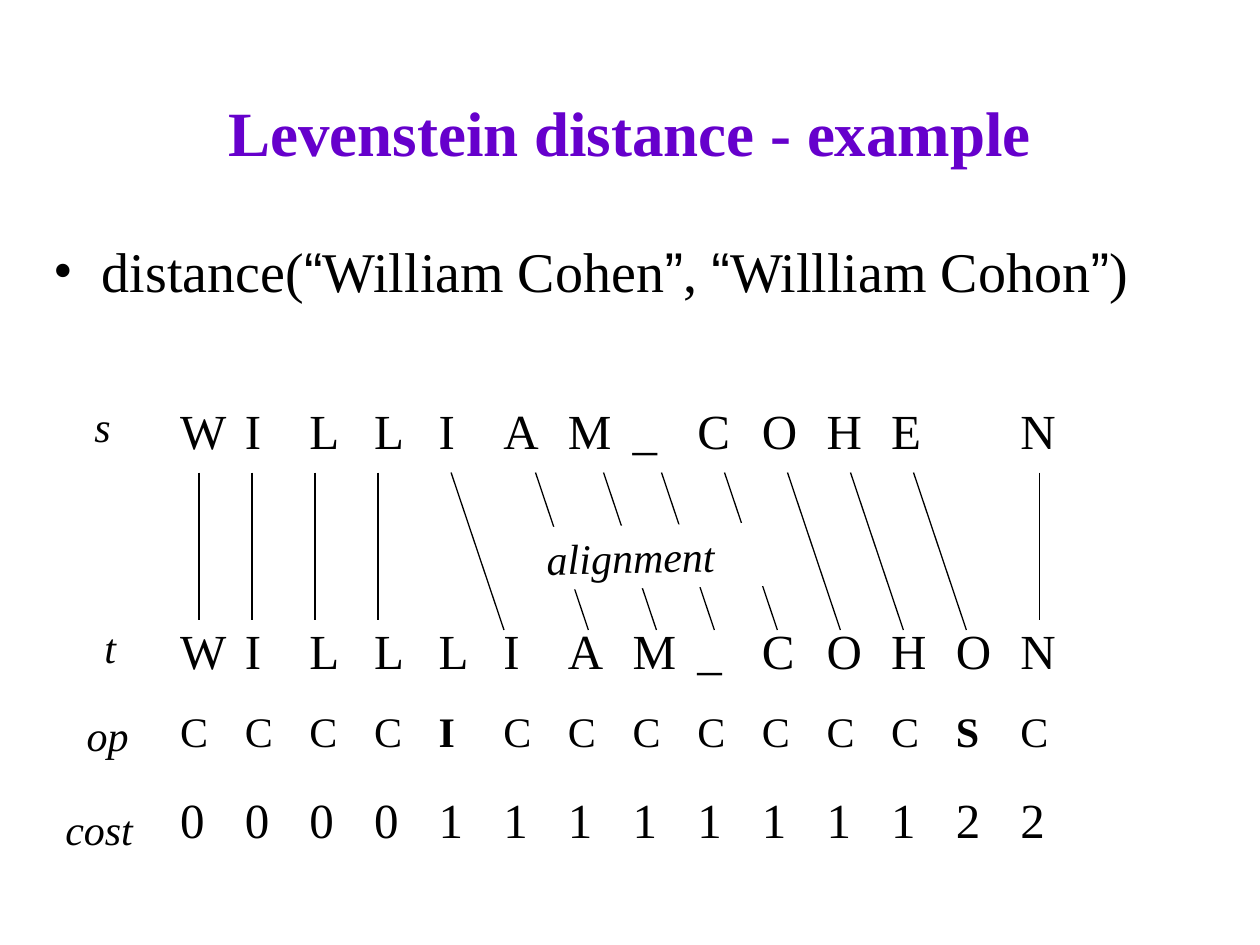
import pptx
import pptx.dml.color
import pptx.enum.shapes
import pptx.enum.text
import pptx.oxml
import pptx.oxml.ns
import pptx.util

Inches = pptx.util.Inches
Pt = pptx.util.Pt
Align = pptx.enum.text.PP_ALIGN
Anchor = pptx.enum.text.MSO_ANCHOR
Fit = pptx.enum.text.MSO_AUTO_SIZE


def color(code):
    return pptx.dml.color.RGBColor.from_string(code)


def child(parent, tag, **attrs):
    node = pptx.oxml.parse_xml(f"<a:{tag} {pptx.oxml.ns.nsdecls('a')}/>")
    for key, value in attrs.items():
        node.set(key, value)
    parent.append(node)


class Deck:
    serif = "Times New Roman"
    sans = "Arial"
    ink = "000000"
    paper = "FFFFFF"
    accent = "6600CC"

    def __init__(self):
        self.file = pptx.Presentation()
        self.file.slide_width = Inches(10)
        self.file.slide_height = Inches(7.5)
        self.slide = self.file.slides.add_slide(self.file.slide_layouts[6])

    def style(self, para, size, code=None, bold=False, italic=False):
        font = para.font
        font.name = self.serif
        font.size = Pt(size)
        font.bold = bold
        font.italic = italic
        font.color.rgb = color(code or self.ink)

    def box(self, left, top, width, height, wrap=True):
        shape = self.slide.shapes.add_textbox(
            Inches(left), Inches(top), Inches(width), Inches(height))
        shape.text_frame.word_wrap = wrap
        return shape.text_frame

    def title(self, text, *place):
        frame = self.box(*place)
        frame.vertical_anchor = Anchor.MIDDLE
        para = frame.paragraphs[0]
        para.text = text
        para.alignment = Align.CENTER
        self.style(para, 36, self.accent, bold=True)

    def bullet(self, text, *place):
        para = self.box(*place).paragraphs[0]
        props = para._p.get_or_add_pPr()
        props.set("marL", str(Inches(0.38)))
        props.set("indent", str(-Inches(0.38)))
        child(props, "buFont", typeface=self.serif)
        child(props, "buChar", char="•")
        self.style(para, 32)
        for part in text.replace("“", "|“|").replace("”", "|”|").split("|"):
            run = para.add_run()
            run.text = part
            if part in "“”":
                run.font.name = self.sans

    def label(self, text, left, top, width, align=Align.LEFT):
        frame = self.box(left, top, width, 0.5, wrap=False)
        frame.auto_size = Fit.NONE
        para = frame.paragraphs[0]
        para.text = text
        para.alignment = align
        self.style(para, 24, italic=True)

    def grid(self, rows, left, top, pitch, last):
        count = len(rows[0][0])
        width = pitch * (count - 1) + last
        height = sum(row[1] for row in rows)
        table = self.slide.shapes.add_table(
            len(rows), count, Inches(left), Inches(top),
            Inches(width), Inches(height)).table
        table.first_row = False
        table.horz_banding = False
        for col in table.columns:
            col.width = Inches(pitch)
        table.columns[count - 1].width = Inches(last)
        for line, (text, tall, size, strong) in zip(table.rows, rows):
            line.height = Inches(tall)
            for cell, letter in zip(line.cells, text):
                cell.fill.background()
                para = cell.text_frame.paragraphs[0]
                para.text = letter.strip()
                self.style(para, size, bold=letter in strong)

    def line(self, start, end):
        link = self.slide.shapes.add_connector(
            pptx.enum.shapes.MSO_CONNECTOR.STRAIGHT,
            *[Inches(n) for n in (*start, *end)])
        link.line.color.rgb = color(self.ink)
        link.line.width = Pt(0.75)
        child(link._element.spPr, "effectLst")

    def patch(self, text, left, top, width, height, angle):
        shape = self.slide.shapes.add_shape(
            pptx.enum.shapes.MSO_SHAPE.RECTANGLE,
            Inches(left), Inches(top), Inches(width), Inches(height))
        shape.shadow.inherit = False
        shape.rotation = angle
        shape.fill.solid()
        shape.fill.fore_color.rgb = color(self.paper)
        shape.line.fill.background()
        frame = shape.text_frame
        frame.word_wrap = True
        frame.auto_size = Fit.SHAPE_TO_FIT_TEXT
        frame.vertical_anchor = Anchor.TOP
        para = frame.paragraphs[0]
        para.text = text
        para.alignment = Align.CENTER
        self.style(para, 24, italic=True)


def main():
    deck = Deck()
    deck.title("Levenstein distance - example", 0.75, 0.42, 8.5, 1.25)
    deck.bullet("distance(“William Cohen”, “Willliam Cohon”)",
                0.33, 1.83, 9.33, 0.92)
    rows = [
        ("WILLIAM_COHE N", 0.58, 28, ()),
        (" " * 14, 1.17, 18, ()),
        ("WILLLIAM_COHON", 0.67, 28, ()),
        ("CCCCICCCCCCCSC", 0.67, 24, ("I", "S")),
        ("00001111111122", 0.75, 28, ()),
    ]
    deck.grid(rows, 1.33, 3.17, 6.67 / 13, 1.25)
    for x in (1.58, 2, 2.5, 3, 8.25):
        deck.line((x, 3.75), (x, 4.92))
    for x in (3.58, 4.25, 4.79, 5.25, 5.75, 6.25, 6.75, 7.25):
        deck.line((x, 3.75), (x + 0.42, 5))
    deck.label("s", 0.65, 3.13, 0.33)
    deck.label("t", 0.73, 4.88, 0.29)
    deck.label("op", 0.59, 5.58, 0.53, Align.RIGHT)
    deck.label("cost", 0.42, 6.33, 0.77)
    deck.patch("alignment", 3.92, 4.17, 2.17, 0.5, 358.9)
    deck.file.save("out.pptx")


if __name__ == "__main__":
    main()
